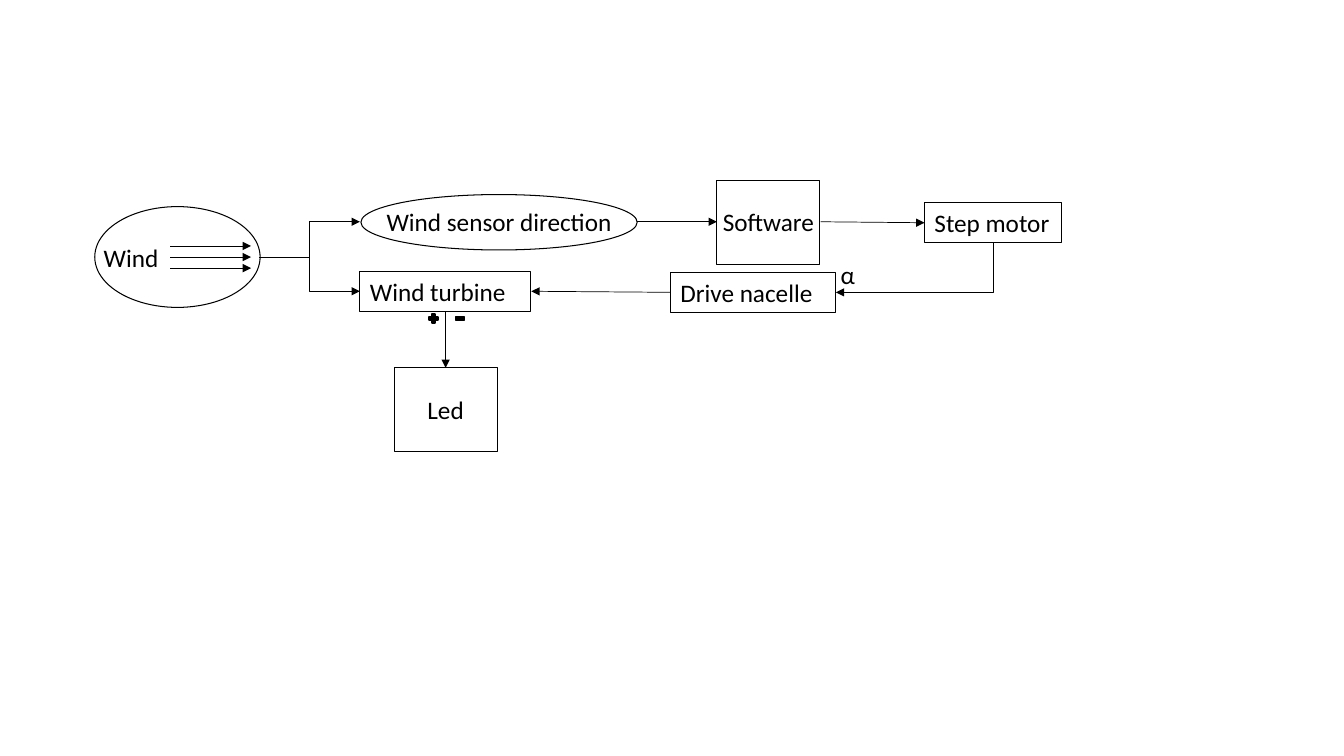
import pptx
import pptx.dml.color
import pptx.enum.shapes
import pptx.enum.text
import pptx.oxml
import pptx.oxml.ns
import pptx.util

Inches = pptx.util.Inches
Shape = pptx.enum.shapes.MSO_SHAPE
Connector = pptx.enum.shapes.MSO_CONNECTOR
Align = pptx.enum.text.PP_ALIGN
BLACK = pptx.dml.color.RGBColor(0x00, 0x00, 0x00)
WHITE = pptx.dml.color.RGBColor(0xFF, 0xFF, 0xFF)


def write(shape, text, align=Align.LEFT, wrap=True, size=18, font="Calibri", color=BLACK):
    """Write one formatted line of text into a shape."""
    frame = shape.text_frame
    frame.word_wrap = wrap
    frame.auto_size = pptx.enum.text.MSO_AUTO_SIZE.SHAPE_TO_FIT_TEXT
    frame.vertical_anchor = pptx.enum.text.MSO_ANCHOR.TOP
    paragraph = frame.paragraphs[0]
    paragraph.alignment = align
    run = paragraph.add_run()
    run.text = text
    run.font.size = pptx.util.Pt(size)
    run.font.name = font
    run.font.color.rgb = color


def outline(slide, kind, bounds, color=BLACK, width=0.75, fill=None):
    """Draw a preset shape, hollow unless a fill is given."""
    shape = slide.shapes.add_shape(kind, *map(Inches, bounds))
    shape.shadow.inherit = False
    if fill is None:
        shape.fill.background()
    else:
        shape.fill.solid()
        shape.fill.fore_color.rgb = fill
    shape.line.color.rgb = color
    shape.line.width = pptx.util.Pt(width)
    return shape


def block(slide, text, bounds, color=BLACK, align=Align.LEFT):
    """Draw a labelled rectangle."""
    write(outline(slide, Shape.RECTANGLE, bounds, color), text, align=align)


def label(slide, text, bounds, **text_format):
    """Place text without an outline."""
    write(slide.shapes.add_textbox(*map(Inches, bounds)), text, **text_format)


def arrow(slide, start, end, kind=Connector.STRAIGHT):
    """Draw a thin arrow from start to end."""
    connector = slide.shapes.add_connector(kind, *map(Inches, (*start, *end)))
    connector.line.color.rgb = BLACK
    connector.line.width = pptx.util.Pt(0.5)
    head = pptx.oxml.parse_xml(
        f'<a:tailEnd {pptx.oxml.ns.nsdecls("a")} type="triangle"/>')
    connector.line._get_or_add_ln().append(head)
    connector._element.spPr.append(
        pptx.oxml.parse_xml(f'<a:effectLst {pptx.oxml.ns.nsdecls("a")}/>'))
    return connector


def corner_arrow(slide, start, end):
    """Draw an arrow that runs down from start, then left to end."""
    (right, top), (left, bottom) = start, end
    middle_x, middle_y = (left + right) / 2, (top + bottom) / 2
    half_drop, half_run = (bottom - top) / 2, (right - left) / 2
    connector = arrow(slide, (middle_x - half_drop, middle_y - half_run),
                      (middle_x + half_drop, middle_y + half_run), Connector.ELBOW)
    properties = connector._element.spPr
    properties.find(pptx.oxml.ns.qn("a:xfrm")).set("rot", str(90 * 60000))
    properties.find(pptx.oxml.ns.qn("a:prstGeom")).set("prst", "bentConnector2")


def main():
    """Build the wind turbine block diagram."""
    deck = pptx.Presentation()
    deck.slide_width, deck.slide_height = Inches(13.33), Inches(7.5)
    slide = deck.slides.add_slide(deck.slide_layouts[6])

    for stream_y in (2.44, 2.55, 2.66):
        arrow(slide, (1.69, stream_y), (2.49, stream_y))
    block(slide, "Wind", (0.93, 2.35, 1.64, 0.4), WHITE)
    for branch_y in (2.89, 2.2):
        arrow(slide, (2.57, 2.55), (3.57, branch_y), Connector.ELBOW)

    block(slide, "Wind sensor direction", (3.58, 2, 2.74, 0.4), WHITE, Align.CENTER)
    arrow(slide, (6.32, 2.2), (7.11, 2.2))
    block(slide, "Wind turbine", (3.57, 2.69, 1.69, 0.4))
    for pole, pole_x in ((Shape.MATH_PLUS, 4.24), (Shape.MATH_MINUS, 4.5)):
        outline(slide, pole, (pole_x, 3.1, 0.12, 0.12), width=1, fill=BLACK)
    arrow(slide, (4.42, 3.1), (4.42, 3.65))
    label(slide, "Led", (3.94, 3.86, 0.96, 0.4), align=Align.CENTER)

    arrow(slide, (8.14, 2.2), (9.17, 2.21))
    block(slide, "Step motor", (9.17, 2.01, 1.36, 0.4))
    corner_arrow(slide, (9.85, 2.41), (8.29, 2.9))
    block(slide, "Drive nacelle", (6.65, 2.7, 1.64, 0.4))
    label(slide, "α", (8.24, 2.52, 0.35, 0.4), wrap=False)
    arrow(slide, (6.65, 2.9), (5.27, 2.89))

    outline(slide, Shape.OVAL, (0.94, 2.05, 1.64, 1))
    outline(slide, Shape.OVAL, (3.58, 1.93, 2.74, 0.55))
    outline(slide, Shape.RECTANGLE, (7.11, 1.79, 1.02, 0.83))
    label(slide, "Software", (7.07, 2, 1.21, 0.39))
    outline(slide, Shape.RECTANGLE, (3.91, 3.65, 1.02, 0.83))

    deck.save("out.pptx")


main()
